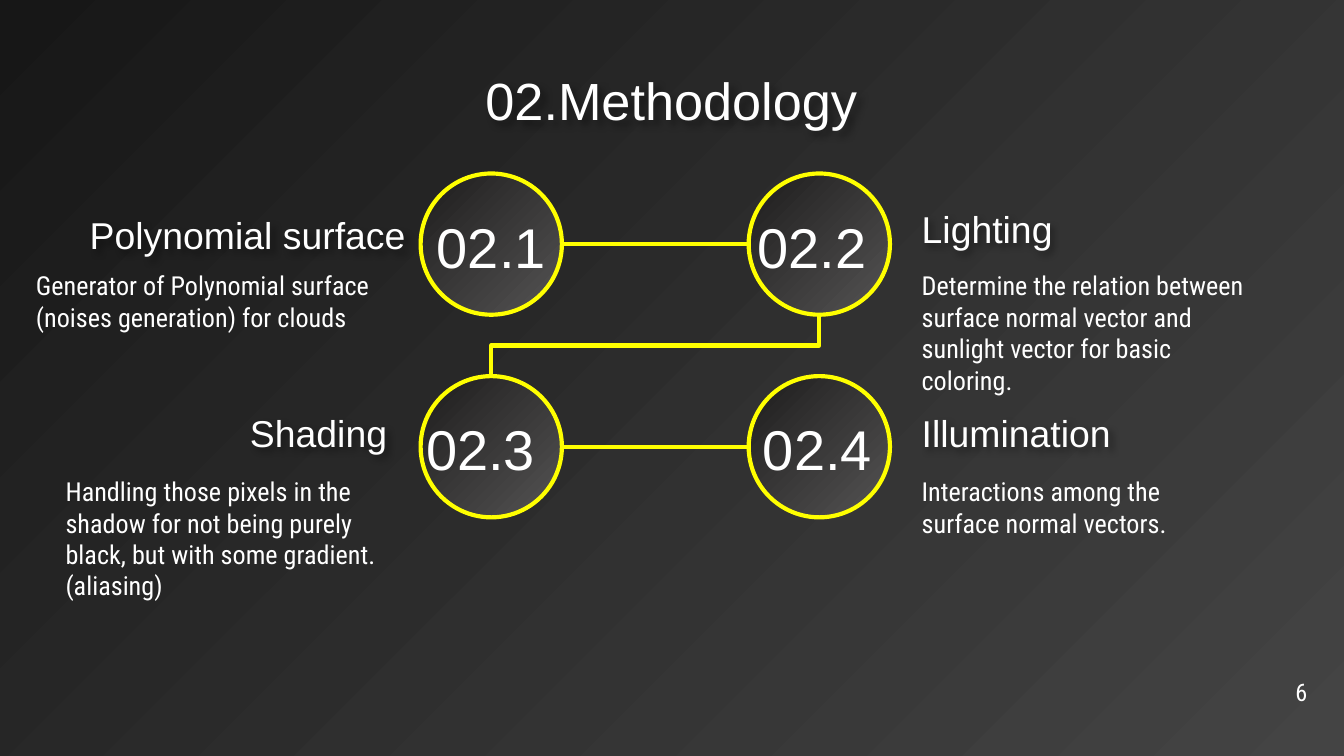
from lxml.etree import SubElement
from pptx import Presentation
from pptx.dml.color import RGBColor
from pptx.enum.shapes import MSO_CONNECTOR, MSO_SHAPE
from pptx.enum.text import MSO_ANCHOR, MSO_AUTO_SIZE, PP_ALIGN
from pptx.oxml.ns import qn
from pptx.util import Cm, Pt

COLORS = {
    "background": ("171717", "444444"),
    "circle": ("1E1D1D", "545353"),
    "line": "FFFF00",
    "text": "FFFFFF",
    "shadow": "000000",
}
FORMATS = {
    "title": {"size": Pt(28), "name": "Arial"},
    "heading": {"size": Pt(20), "name": "Arial"},
    "body": {"size": Pt(14), "name": "Roboto Condensed"},
    "step": {"size": Pt(30), "name": "Arial"},
    "page": {"size": Pt(13), "name": "Roboto Condensed"},
}
LEFT, CENTER, RIGHT = PP_ALIGN.LEFT, PP_ALIGN.CENTER, PP_ALIGN.RIGHT
INSET = 0.25
DIAMETER = 2.67
COLUMNS = (7.95, 14.15)
ROWS = (3.28, 7.11)

# Boxes are left, top, width, height in centimetres.
STEPS = [
    ("02.1 ", (7.95, 3.76, 2.67, 2.16)),
    ("02.2 ", (13.94, 3.76, 2.82, 2.16)),
    ("02.3 ", (7.72, 7.59, 3.02, 2.16)),
    ("02.4", (13.94, 7.59, 3.02, 2.16)),
]
HEADINGS = [
    ("Polynomial surface", (0.43, 3.76, 7.49, 1.35), RIGHT),
    ("Lighting", (17.17, 3.58, 6.2, 1.47), LEFT),
    ("Shading", (4.01, 7.44, 3.56, 1.47), RIGHT),
    ("Illumination", (17.17, 7.44, 6.96, 1.47), LEFT),
]
BODIES = [
    ("Generator of Polynomial surface (noises generation) for clouds",
     (0.43, 4.85, 7.11, 1.85), INSET),
    ("Determine the relation between surface normal vector and "
     "sunlight vector for basic coloring.",
     (17.17, 4.85, 6.76, 2.26), INSET),
    ("Handling those pixels in the shadow for not being purely black, "
     "but with some gradient. (aliasing)",
     (1.24, 8.74, 6.53, 2.79), 0),
    ("Interactions among the surface normal vectors.",
     (17.17, 8.74, 6.27, 1.96), INSET),
]


def fill_gradient(fill, colors):
    """Run a two-colour gradient from top left to bottom right."""
    fill.gradient()
    fill.gradient_angle = 315
    for stop, color in zip(fill.gradient_stops, colors):
        stop.color.rgb = RGBColor.from_string(color)


def format_line(line):
    line.color.rgb = RGBColor.from_string(COLORS["line"])
    line.width = Pt(2.25)


def write_text(shape, text, style, align, anchor=MSO_ANCHOR.TOP, left_inset=INSET):
    frame = shape.text_frame
    settings = {
        "word_wrap": True,
        "auto_size": MSO_AUTO_SIZE.NONE,
        "vertical_anchor": anchor,
        "margin_left": Cm(left_inset),
        "margin_top": Cm(INSET),
        "margin_right": Cm(INSET),
        "margin_bottom": Cm(INSET),
    }
    for name, value in settings.items():
        setattr(frame, name, value)
    paragraph = frame.paragraphs[0]
    paragraph.alignment = align
    run = paragraph.add_run()
    run.text = text
    for name, value in FORMATS[style].items():
        setattr(run.font, name, value)
    run.font.color.rgb = RGBColor.from_string(COLORS["text"])


def add_text(slide, text, box, style, align, **options):
    shape = slide.shapes.add_textbox(*map(Cm, box))
    write_text(shape, text, style, align, **options)
    return shape


def add_soft_shadow(shape):
    effects = SubElement(shape._element.spPr, qn("a:effectLst"))
    shadow = SubElement(effects, qn("a:outerShdw"), blurRad="50800",
                        dist="38100", dir="2700000", algn="tl")
    color = SubElement(shadow, qn("a:srgbClr"), val=COLORS["shadow"])
    SubElement(color, qn("a:alpha"), val="40000")


def set_title(slide, text, box):
    title = slide.shapes.title
    title.left, title.top, title.width, title.height = map(Cm, box)
    write_text(title, text, "title", CENTER, anchor=MSO_ANCHOR.MIDDLE)
    add_soft_shadow(title)


def add_circle(slide, left, top):
    circle = slide.shapes.add_shape(MSO_SHAPE.FLOWCHART_CONNECTOR,
                                    *map(Cm, (left, top, DIAMETER, DIAMETER)))
    circle.shadow.inherit = False
    fill_gradient(circle.fill, COLORS["circle"])
    format_line(circle.line)


def add_elbow(slide, start, end, vertical=False):
    """Join two points; a vertical elbow leaves and arrives vertically."""
    if vertical:
        # Lay the elbow out sideways about its middle, then turn it by 90 degrees.
        middle_x, middle_y = ((a + b) / 2 for a, b in zip(start, end))
        half_width = abs(end[1] - start[1]) / 2
        half_height = abs(end[0] - start[0]) / 2
        start = (middle_x - half_width, middle_y - half_height)
        end = (middle_x + half_width, middle_y + half_height)
    connector = slide.shapes.add_connector(MSO_CONNECTOR.ELBOW, *map(Cm, start + end))
    format_line(connector.line)
    properties = connector._element.spPr
    SubElement(properties, qn("a:effectLst"))
    if vertical:
        properties.find(qn("a:xfrm")).set("rot", "5400000")


def add_flow(slide):
    """Draw the four circles and the path 1-2-3-4 between them."""
    radius = DIAMETER / 2
    left, right = COLUMNS
    upper, lower = ROWS
    for top in ROWS:
        add_elbow(slide, (left + DIAMETER, top + radius), (right, top + radius))
    add_elbow(slide, (right + radius, upper + DIAMETER), (left + radius, lower),
              vertical=True)
    for top in ROWS:
        for column in COLUMNS:
            add_circle(slide, column, top)
    for text, box in STEPS:
        add_text(slide, text, box, "step", CENTER)


def main():
    presentation = Presentation()
    presentation.slide_width, presentation.slide_height = Cm(25.4), Cm(14.29)
    slide = presentation.slides.add_slide(presentation.slide_layouts[5])
    fill_gradient(slide.background.fill, COLORS["background"])

    set_title(slide, "02.Methodology", (1.24, 0.66, 22.89, 2.44))
    for text, box, align in HEADINGS:
        heading = add_text(slide, text, box, "heading", align,
                           anchor=MSO_ANCHOR.MIDDLE)
        add_soft_shadow(heading)
    for text, box, left_inset in BODIES:
        add_text(slide, text, box, "body", LEFT, left_inset=left_inset)
    add_flow(slide)
    add_text(slide, "6", (23.44, 12.55, 1.52, 1.09), "page", RIGHT)

    presentation.save("out.pptx")


if __name__ == "__main__":
    main()
